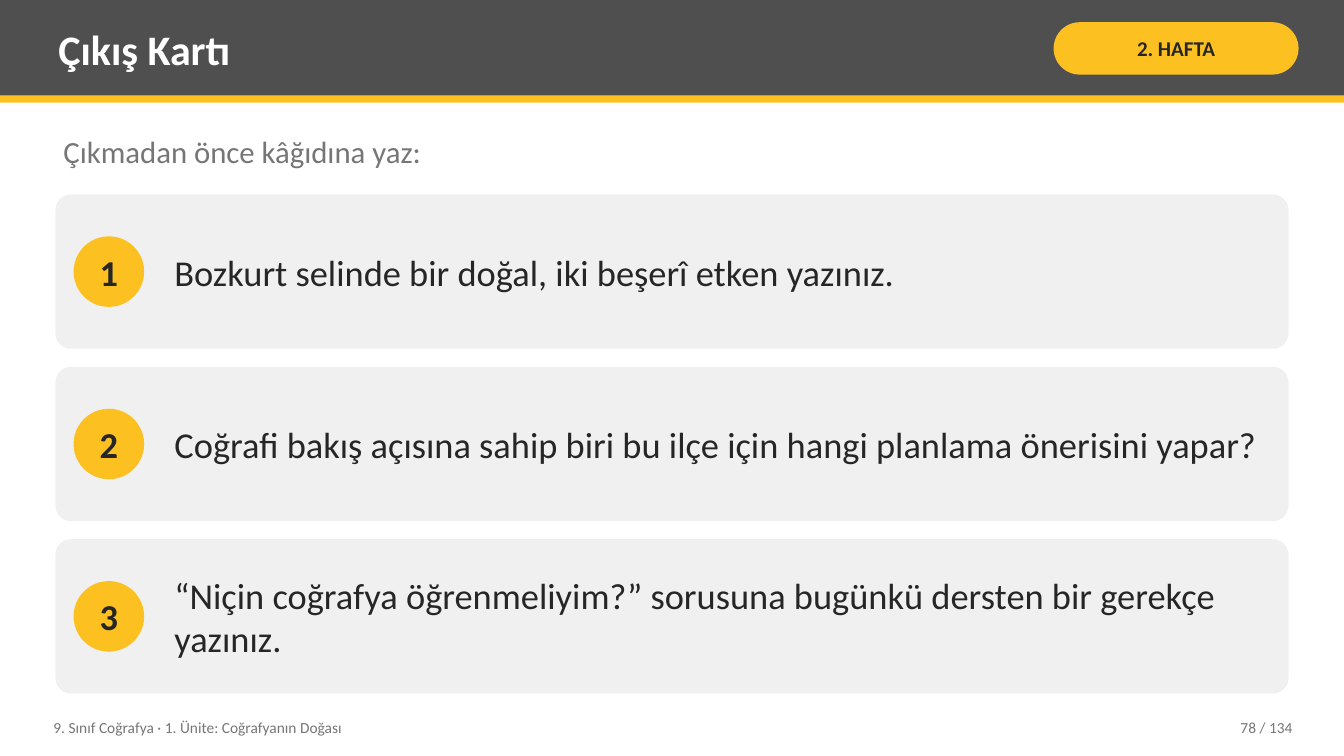
"""Build the exit card slide with three numbered prompts."""
import pptx
import pptx.util
import pptx.dml.color
import pptx.enum.shapes
import pptx.enum.text

TITLE = "Çıkış Kartı"
WEEK = "2. HAFTA"
LEAD = "Çıkmadan önce kâğıdına yaz:"
TASKS = [
    "Bozkurt selinde bir doğal, iki beşerî etken yazınız.",
    "Coğrafi bakış açısına sahip biri bu ilçe için hangi planlama önerisini yapar?",
    "“Niçin coğrafya öğrenmeliyim?” sorusuna bugünkü dersten bir gerekçe yazınız.",
]
UNIT = "9. Sınıf Coğrafya · 1. Ünite: Coğrafyanın Doğası"
PAGE = "78 / 134"

HUE = {"bar": "4F4F4F", "gold": "FCC021", "card": "F0F0F0",
       "ink": "262626", "gray": "767676", "white": "FFFFFF"}
FONT = "Calibri"
WIDE, HIGH = 13.33, 7.5
EDGE = 0.55
SPAN = WIDE - 2 * EDGE
TOP, CARD, GAP = 1.93, 1.53, 0.18
DOT = 0.7

KIND = pptx.enum.shapes.MSO_SHAPE
ALIGN = pptx.enum.text.PP_ALIGN
ANCHOR = pptx.enum.text.MSO_ANCHOR
INCH = pptx.util.Inches


def color(name):
    return pptx.dml.color.RGBColor.from_string(HUE[name])


def draw(slide, kind, box, fill, bend=None):
    shape = slide.shapes.add_shape(kind, *map(INCH, box))
    shape.shadow.inherit = False
    shape.fill.solid()
    shape.fill.fore_color.rgb = color(fill)
    shape.line.fill.background()
    if bend is not None:
        shape.adjustments[0] = bend
    return shape


def write(shape, text, size, hue, bold=False, align=ALIGN.LEFT,
          anchor=ANCHOR.MIDDLE, pad=(0.08, 0.04), wrap=True):
    frame = shape.text_frame
    frame.word_wrap = wrap
    frame.vertical_anchor = anchor
    frame.margin_left = frame.margin_right = INCH(pad[0])
    frame.margin_top = frame.margin_bottom = INCH(pad[1])
    line = frame.paragraphs[0]
    line.text = text
    line.alignment = align
    font = line.font
    font.name, font.size, font.bold = FONT, pptx.util.Pt(size), bold
    font.color.rgb = color(hue)


def label(slide, box, *args, **style):
    write(slide.shapes.add_textbox(*map(INCH, box)), *args, **style)


def main():
    deck = pptx.Presentation()
    deck.slide_width, deck.slide_height = INCH(WIDE), INCH(HIGH)
    slide = deck.slides.add_slide(deck.slide_layouts[6])

    draw(slide, KIND.RECTANGLE, (0, 0, WIDE, 0.95), "bar")
    draw(slide, KIND.RECTANGLE, (0, 0.95, WIDE, 0.07), "gold")
    label(slide, (0.5, 0.07, 9.75, 0.82), TITLE, 30, "white", bold=True)
    pill = draw(slide, KIND.ROUNDED_RECTANGLE, (10.45, 0.22, 2.43, 0.52), "gold", 0.5)
    write(pill, WEEK, 15, "ink", bold=True, align=ALIGN.CENTER, pad=(0.05, 0.02))
    label(slide, (EDGE, 1.28, SPAN, 0.55), LEAD, 22, "gray", anchor=ANCHOR.TOP)

    for row, task in enumerate(TASKS):
        top = TOP + row * (CARD + GAP)
        draw(slide, KIND.ROUNDED_RECTANGLE, (EDGE, top, SPAN, CARD), "card", 0.1)
        dot = draw(slide, KIND.OVAL,
                   (EDGE + GAP, top + (CARD - DOT) / 2, DOT, DOT), "gold")
        write(dot, str(row + 1), 26, "ink", bold=True, align=ALIGN.CENTER,
              pad=(0, 0), wrap=False)
        label(slide, (EDGE + 1.1, top, SPAN - 1.3, CARD), task, 26, "ink")

    label(slide, (0.45, 7.04, 7.6, 0.36), UNIT, 11, "gray")
    label(slide, (11.3, 7.04, 1.6, 0.36), PAGE, 11, "gray", align=ALIGN.RIGHT)
    deck.save("out.pptx")


if __name__ == "__main__":
    main()
